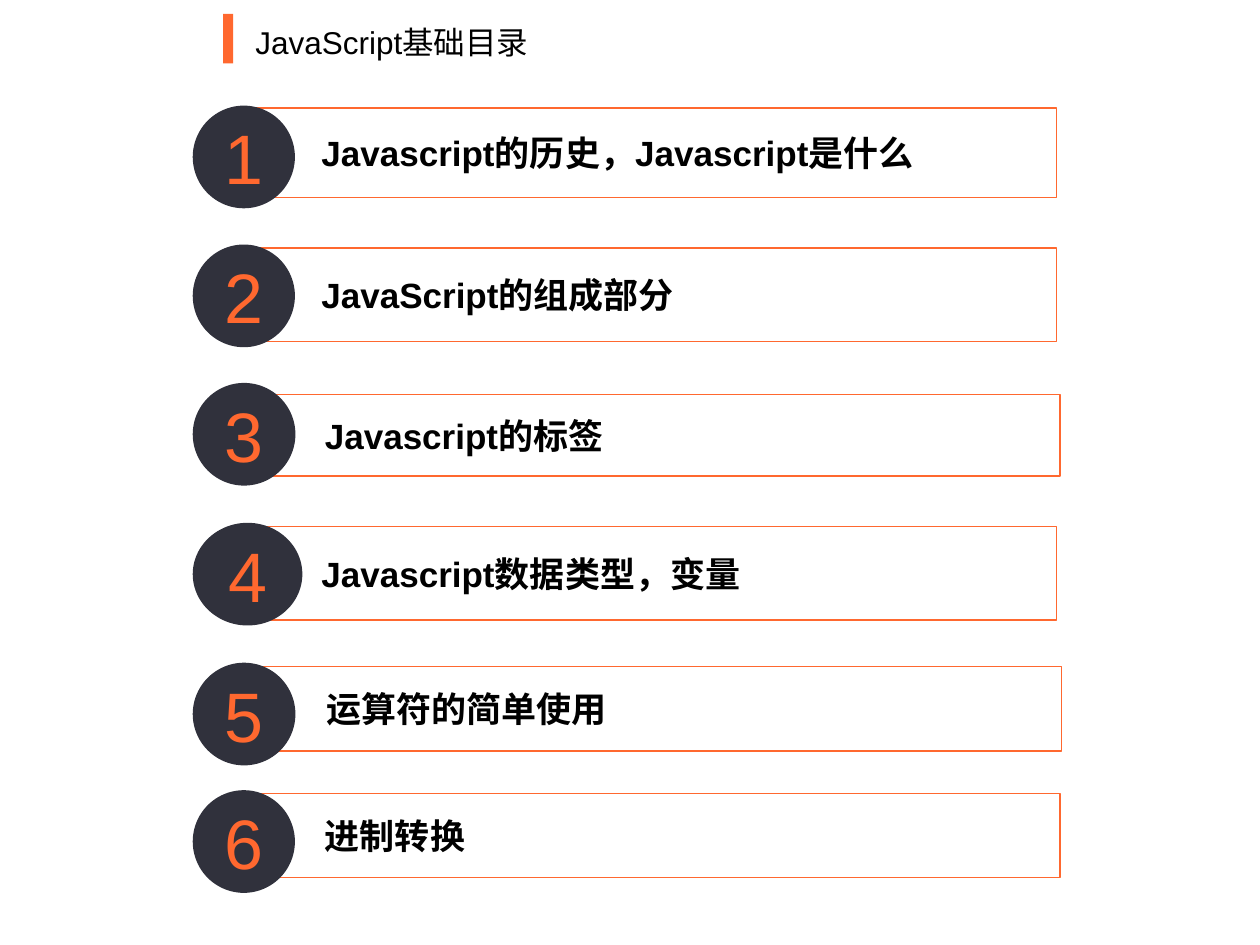
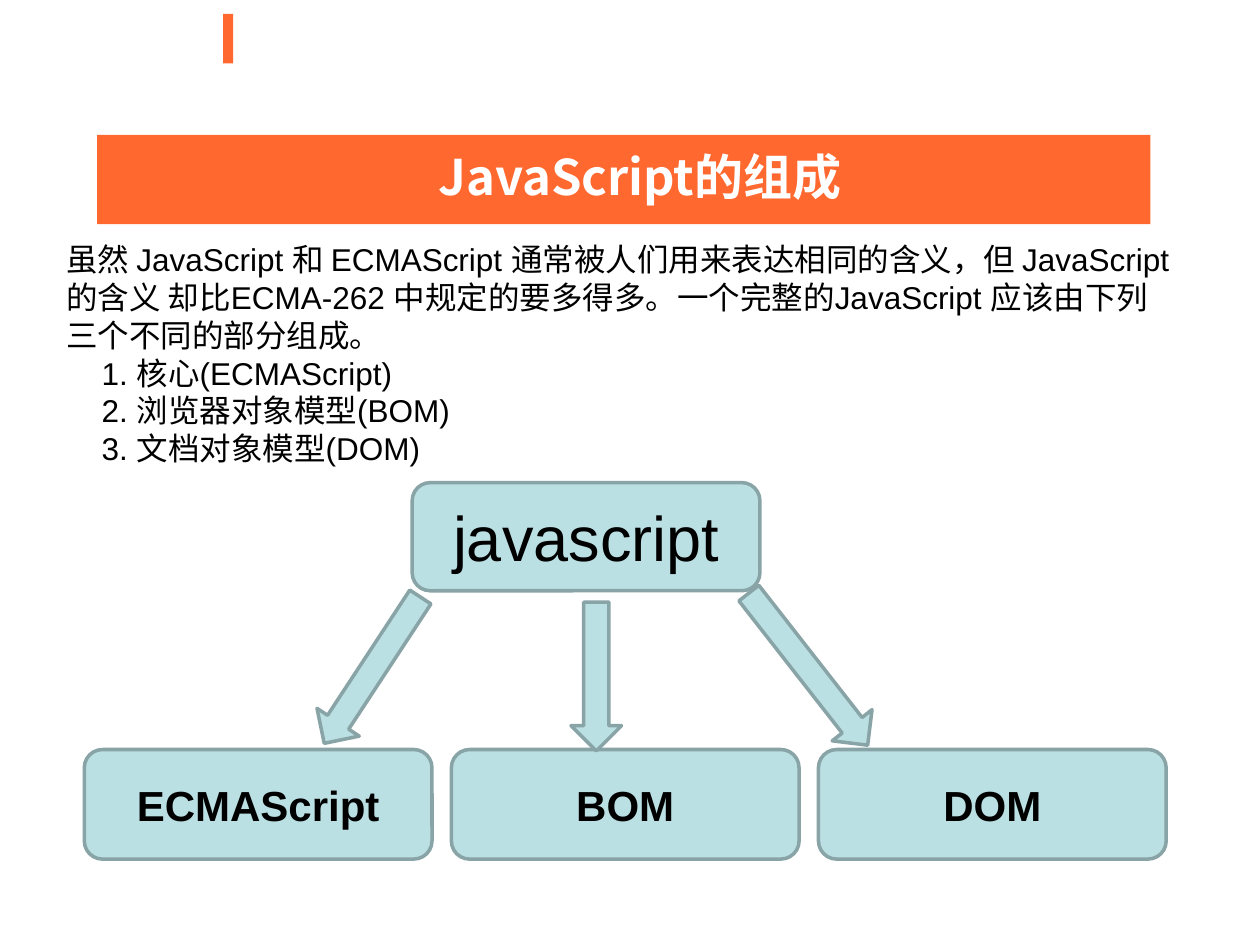
from pptx import Presentation
from pptx.util import Cm, Pt
from pptx.dml.color import RGBColor
from pptx.enum.shapes import MSO_SHAPE as Shape
from pptx.enum.text import MSO_ANCHOR as Anchor, PP_ALIGN as Align
from lxml.etree import SubElement

# Content; places in cm
HEAD = "JavaScript基础目录"
TOPICS = [  # text, frame left, top, height, disc top, disc width
    ("Javascript的历史，Javascript是什么", 4.83, 2.18, 1.8, 2.13, 2.06),
    ("JavaScript的组成部分", 4.83, 5.0, 1.89, 4.93, 2.06),
    ("Javascript的标签", 4.9, 7.95, 1.65, 7.72, 2.07),
    ("Javascript数据类型，变量", 4.83, 10.62, 1.88, 10.54, 2.21),
    ("运算符的简单使用", 4.93, 13.44, 1.7, 13.36, 2.07),
    ("进制转换", 4.9, 16.0, 1.69, 15.93, 2.06),
]
TITLE = "JavaScript的组成"
INTRO = ("虽然 JavaScript 和 ECMAScript 通常被人们用来表达相同的含义，但 "
         "JavaScript 的含义 却比ECMA-262 中规定的要多得多。一个完整的JavaScript "
         "应该由下列三个不同的部分组成。")
LIST = ["核心(ECMAScript)", "浏览器对象模型(BOM)", "文档对象模型(DOM)"]
ROOT = "javascript"
PARTS = ["ECMAScript", "BOM", "DOM"]
ARROWS = [(5.74, 13.0, 3.53, 123.3), (10.52, 13.13, 3.0, 90),
          (14.35, 12.98, 3.89, 52)]  # left, top, length, turn

# Shared style
ORANGE, DARK, WHITE, BLACK = "FF682F", "30313C", "FFFFFF", "000000"
AQUA, EDGE = "BBE0E3", "89A4A7"
LATIN, HAN = "Arial", "Noto Sans CJK SC"
NS = "{http://schemas.openxmlformats.org/drawingml/2006/main}"


def color(part, tone):
    part.rgb = RGBColor.from_string(tone)


def write(box, lines, size, tone=BLACK, bold=False, align=Align.LEFT, font=LATIN):
    frame = box.text_frame
    frame.word_wrap = True
    frame.text = "\n".join(lines)
    for par in frame.paragraphs:
        par.alignment = align
        for run in par.runs:
            run.font.size, run.font.bold, run.font.name = Pt(size), bold, font
            color(run.font.color, tone)
            SubElement(run.font._element, NS + "ea", typeface=HAN)
    return frame


def draw(slide, kind, place, fill, line=None, width=0.75):
    shape = slide.shapes.add_shape(kind, *map(Cm, place))
    shape.shadow.inherit = False
    shape.fill.solid()
    color(shape.fill.fore_color, fill)
    if line:
        color(shape.line.color, line)
        shape.line.width = Pt(width)
    else:
        shape.line.fill.background()
    return shape


def label(slide, place, lines, size, **style):
    return write(slide.shapes.add_textbox(*map(Cm, place)), lines, size, **style)


def start(deck):
    slide = deck.slides.add_slide(deck.slide_layouts[6])
    draw(slide, Shape.RECTANGLE, (4.5, 0.28, 0.2, 1), ORANGE)
    return slide


def topic(slide, num, text, left, top, high, rise, wide):
    # Frame
    frame = draw(slide, Shape.RECTANGLE, (left, top, 16.47, high), WHITE, ORANGE)
    tone = frame._element.spPr.find(f"{NS}solidFill/{NS}srgbClr")
    SubElement(tone, NS + "alpha", val="40000")
    body = write(frame, [text], 20, bold=True)
    body.vertical_anchor = Anchor.MIDDLE
    body.margin_left = Cm(1.65)
    body.margin_top = body.margin_right = body.margin_bottom = Cm(0.2)
    # Numbered disc
    disc = draw(slide, Shape.OVAL, (1.53 * 2.54, rise, wide, 2.07), DARK)
    write(disc, [str(num)], 40, ORANGE, align=Align.CENTER)


def node(slide, place, text, size, bold):
    box = draw(slide, Shape.ROUNDED_RECTANGLE, place, AQUA, EDGE, 2)
    write(box, [text], size, bold=bold, align=Align.CENTER)


def contents(deck):
    slide = start(deck)
    for num, row in enumerate(TOPICS, 1):
        topic(slide, num, *row)
    label(slide, (4.9, 0.33, 8.03, 1.02), [HEAD], 18)


def makeup(deck):
    slide = start(deck)
    # Title band
    draw(slide, Shape.RECTANGLE, (1.96, 2.72, 21.23, 1.8), ORANGE)
    label(slide, (3.3, 2.82, 19.2, 1.45), [TITLE], 28, tone=WHITE, bold=True,
          align=Align.CENTER, font=HAN)
    # Tree
    node(slide, (8.31, 9.73, 7.01, 2.18), ROOT, 36, False)
    for i, part in enumerate(PARTS):
        node(slide, (1.7 + 7.4 * i, 15.11, 7.01, 2.21), part, 24, True)
    for left, top, size, turn in ARROWS:
        arrow = draw(slide, Shape.RIGHT_ARROW, (left, top, size, 1.02), AQUA, EDGE, 2)
        arrow.rotation = turn
    # Text with indented list
    items = [f"{i}. {item}" for i, item in enumerate(LIST, 1)]
    body = label(slide, (1.09, 4.72, 22.83, 4.83), [INTRO] + items, 18)
    for par in body.paragraphs[1:]:
        par._p.get_or_add_pPr().set("marL", str(Cm(0.71)))


def main():
    deck = Presentation()
    deck.slide_width, deck.slide_height = Cm(25.4), Cm(19.05)
    contents(deck)
    makeup(deck)
    deck.save("out.pptx")


if __name__ == "__main__":
    main()
